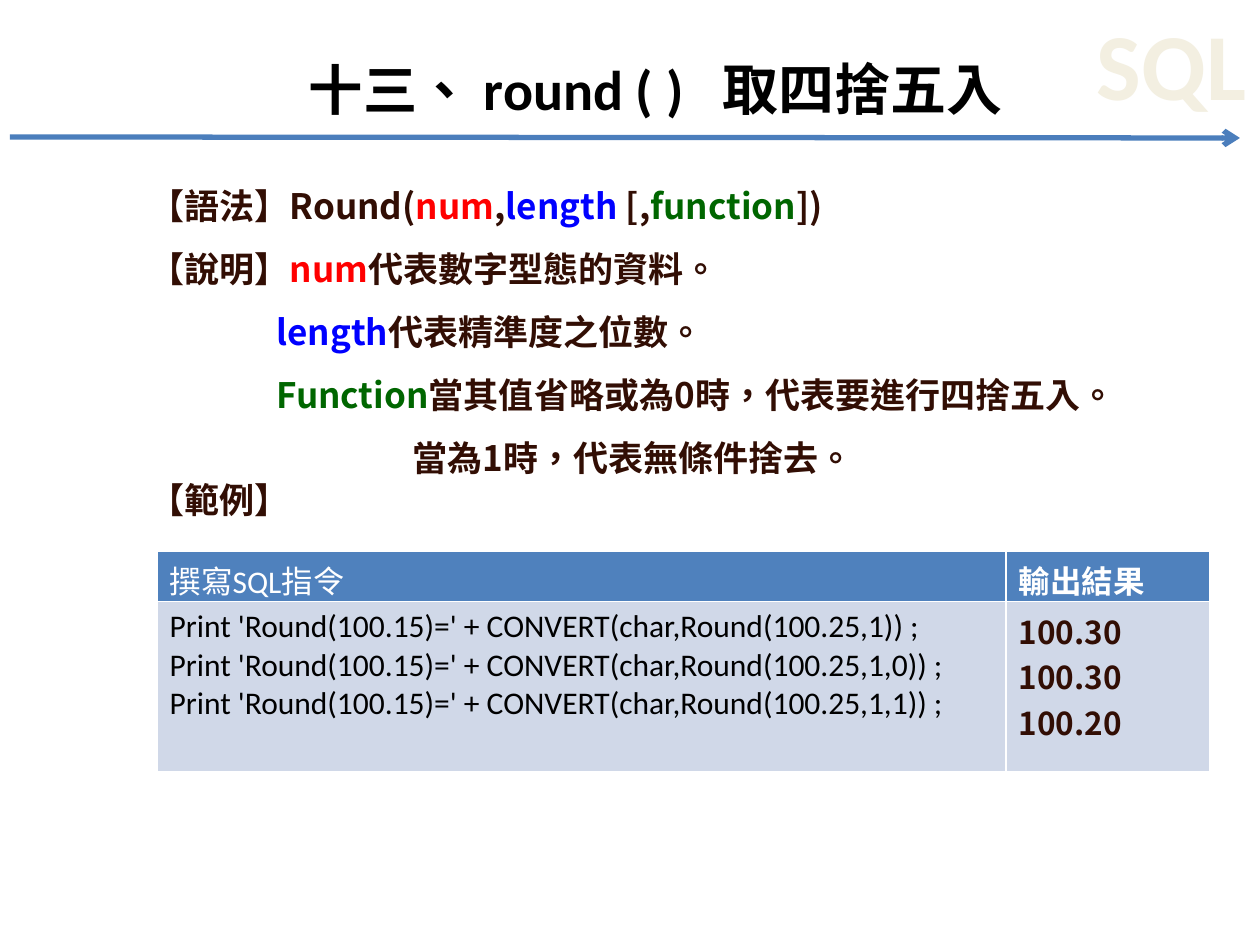
from collections import namedtuple
from dataclasses import dataclass

from lxml import etree
from pptx import Presentation
from pptx.dml.color import RGBColor
from pptx.enum.shapes import MSO_CONNECTOR
from pptx.enum.text import MSO_ANCHOR, MSO_AUTO_SIZE, PP_ALIGN
from pptx.oxml.ns import qn
from pptx.util import Emu, Pt

STRAIGHT = MSO_CONNECTOR.STRAIGHT
MIDDLE = MSO_ANCHOR.MIDDLE
NO_AUTOFIT = MSO_AUTO_SIZE.NONE
CENTER = PP_ALIGN.CENTER
RIGHT = PP_ALIGN.RIGHT

EMU_PER_PX = 914400 / 126
TITLE_ONLY = 5

Box = namedtuple("Box", "left top width height")


@dataclass(frozen=True)
class Theme:
    latin: str = "Calibri"
    cjk: str = "Noto Sans CJK SC"
    language: str = "zh-TW"
    black: str = "000000"
    white: str = "FFFFFF"
    brown: str = "320E04"
    red: str = "FF0000"
    blue: str = "0000FF"
    green: str = "006600"
    arrow: str = "4B7EBC"
    header: str = "4F81BD"
    band: str = "D0D8E8"
    corner: str = "F3EFE1"
    title_size: int = 32
    numeral_size: int = 31
    gap_size: int = 22
    body_size: int = 20
    table_size: int = 18
    corner_size: int = 54


THEME = Theme()

TITLE_SPANS = [
    ("十三、 ", THEME.numeral_size),
    ("round ( )", THEME.title_size),
    ("　", THEME.gap_size),
    ("取四捨五入", THEME.title_size),
]

SYNTAX_LINES = [
    (0, 1.5, [("【語法】Round(", THEME.brown), ("num", THEME.red), (",", THEME.brown),
              ("length", THEME.blue), (" [,", THEME.brown),
              ("function", THEME.green), ("])", THEME.brown)]),
    (0, 1.5, [("【說明】", THEME.brown), ("num", THEME.red),
              ("代表數字型態的資料。", THEME.brown)]),
    (127, 1.5, [("length", THEME.blue), ("代表精準度之位數。", THEME.brown)]),
    (127, 1.5, [("Function", THEME.green),
                ("當其值省略或為0時，代表要進行四捨五入。", THEME.brown)]),
    (263, 1.5, [("當為1時，代表無條件捨去。", THEME.brown)]),
    (0, 1, [("【範例】", THEME.brown)]),
]

HEADINGS = ["撰寫SQL指令", "輸出結果"]
COMMANDS = [
    f"Print 'Round(100.15)=' + CONVERT(char,Round({arguments})) ;"
    for arguments in ("100.25,1", "100.25,1,0", "100.25,1,1")
]
RESULTS = ["100.30", "100.30", "100.20"]


def px(length):
    return Emu(round(length * EMU_PER_PX))


def place(box):
    return [px(length) for length in box]


def apply(target, formats):
    for name, value in formats.items():
        setattr(target, name, value)


def add_span(para, text, color, **formats):
    span = para.add_run()
    span.text = text
    span.font.color.rgb = RGBColor.from_string(color)
    apply(span.font, formats)
    properties = span.font._element
    properties.set("lang", THEME.language)
    etree.SubElement(properties, qn("a:ea")).set("typeface", THEME.cjk)


def next_para(frame, index):
    return frame.paragraphs[0] if index == 0 else frame.add_paragraph()


def add_arrow(page, box):
    left, top, width, height = box
    arrow = page.shapes.add_connector(
        STRAIGHT, px(left), px(top), px(left + width), px(top + height))
    arrow.line.color.rgb = RGBColor.from_string(THEME.arrow)
    arrow.line.width = Pt(3)
    tail = etree.SubElement(arrow.line._get_or_add_ln(), qn("a:tailEnd"))
    tail.set("type", "arrow")
    etree.SubElement(arrow._element.spPr, qn("a:effectLst"))


def add_corner_word(page, box):
    frame = page.shapes.add_textbox(*place(box)).text_frame
    apply(frame, {"margin_left": 0, "margin_right": 0, "margin_top": 0,
                  "margin_bottom": 0, "vertical_anchor": MIDDLE, "word_wrap": True})
    para = frame.paragraphs[0]
    para.alignment = RIGHT
    add_span(para, "SQL", THEME.corner, name=THEME.latin,
             size=Pt(THEME.corner_size), bold=True)


def add_title(page, box):
    title = page.shapes.title
    apply(title, dict(zip(box._fields, place(box))))
    frame = title.text_frame
    apply(frame, {"auto_size": NO_AUTOFIT, "vertical_anchor": MIDDLE,
                  "word_wrap": True, "margin_top": px(24), "margin_right": px(90)})
    para = frame.paragraphs[0]
    para.alignment = CENTER
    for text, size in TITLE_SPANS:
        add_span(para, text, THEME.black, name=THEME.latin, size=Pt(size), bold=True)


def add_syntax(page, box):
    frame = page.shapes.add_textbox(*place(box)).text_frame
    frame.word_wrap = True
    for index, (indent, spacing, spans) in enumerate(SYNTAX_LINES):
        para = next_para(frame, index)
        para.line_spacing = spacing
        para._p.get_or_add_pPr().set("marL", str(px(indent)))
        for text, color in spans:
            add_span(para, text, color, name=THEME.cjk,
                     size=Pt(THEME.body_size), bold=True)


def fill_cell(cell, lines, fill, color, font, bold):
    cell.fill.solid()
    cell.fill.fore_color.rgb = RGBColor.from_string(fill)
    for index, line in enumerate(lines):
        add_span(next_para(cell.text_frame, index), line, color, name=font,
                 size=Pt(THEME.table_size), bold=bold)


def add_example(page, box):
    table = page.shapes.add_table(2, 2, *place(box)).table
    result_width, header_height = 204, 50
    for column, width in zip(table.columns, (box.width - result_width, result_width)):
        column.width = px(width)
    for row, height in zip(table.rows, (header_height, box.height - header_height)):
        row.height = px(height)
    for column, (heading, bold) in enumerate(zip(HEADINGS, (False, True))):
        fill_cell(table.cell(0, column), [heading], THEME.header,
                  THEME.white, THEME.latin, bold)
    fill_cell(table.cell(1, 0), COMMANDS, THEME.band, THEME.black, THEME.latin, False)
    fill_cell(table.cell(1, 1), RESULTS, THEME.band, THEME.brown, THEME.cjk, True)


def main():
    deck = Presentation()
    deck.slide_width, deck.slide_height = px(1260), px(945)
    page = deck.slides.add_slide(deck.slide_layouts[TITLE_ONLY])
    add_arrow(page, Box(10, 137, 1230, 1))
    add_corner_word(page, Box(1050, 6, 196, 114))
    add_title(page, Box(129, 0, 1131, 158))
    add_syntax(page, Box(137, 157, 1123, 373))
    add_example(page, Box(157, 551, 1053, 220))
    deck.save("out.pptx")


if __name__ == "__main__":
    main()
